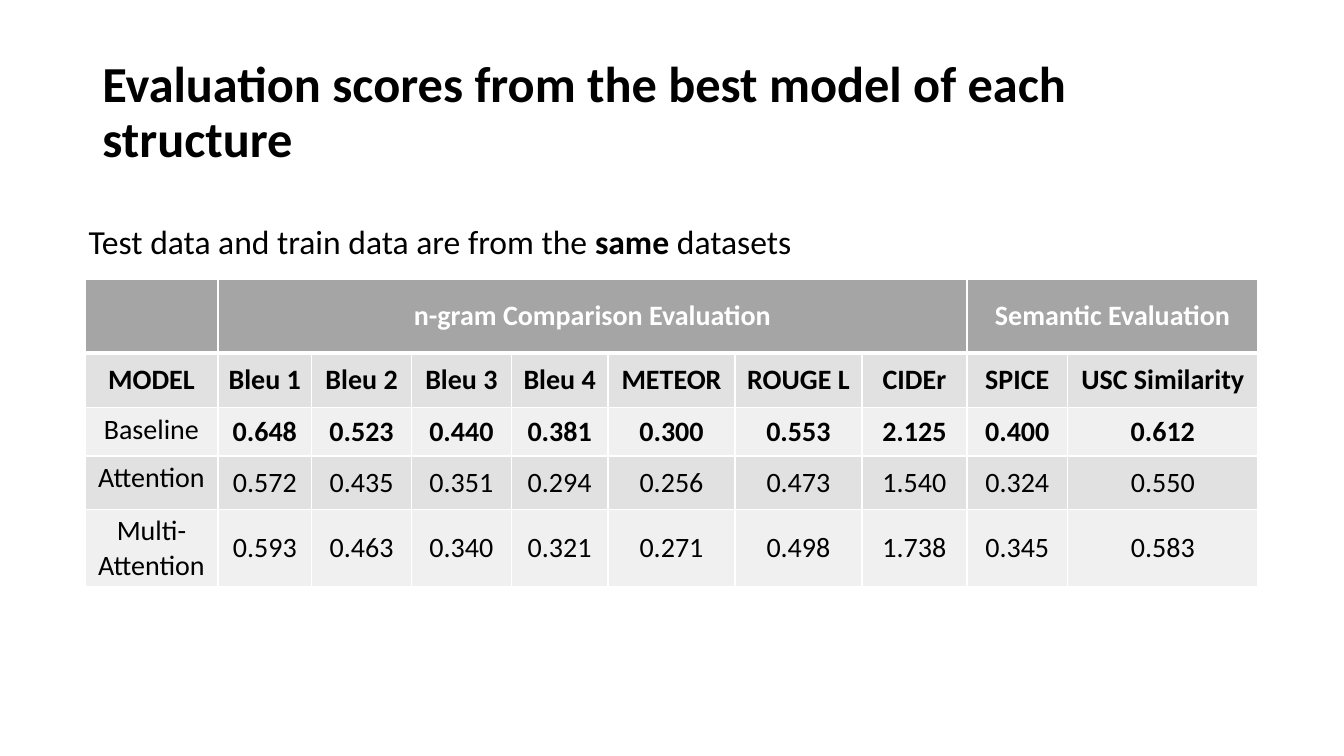
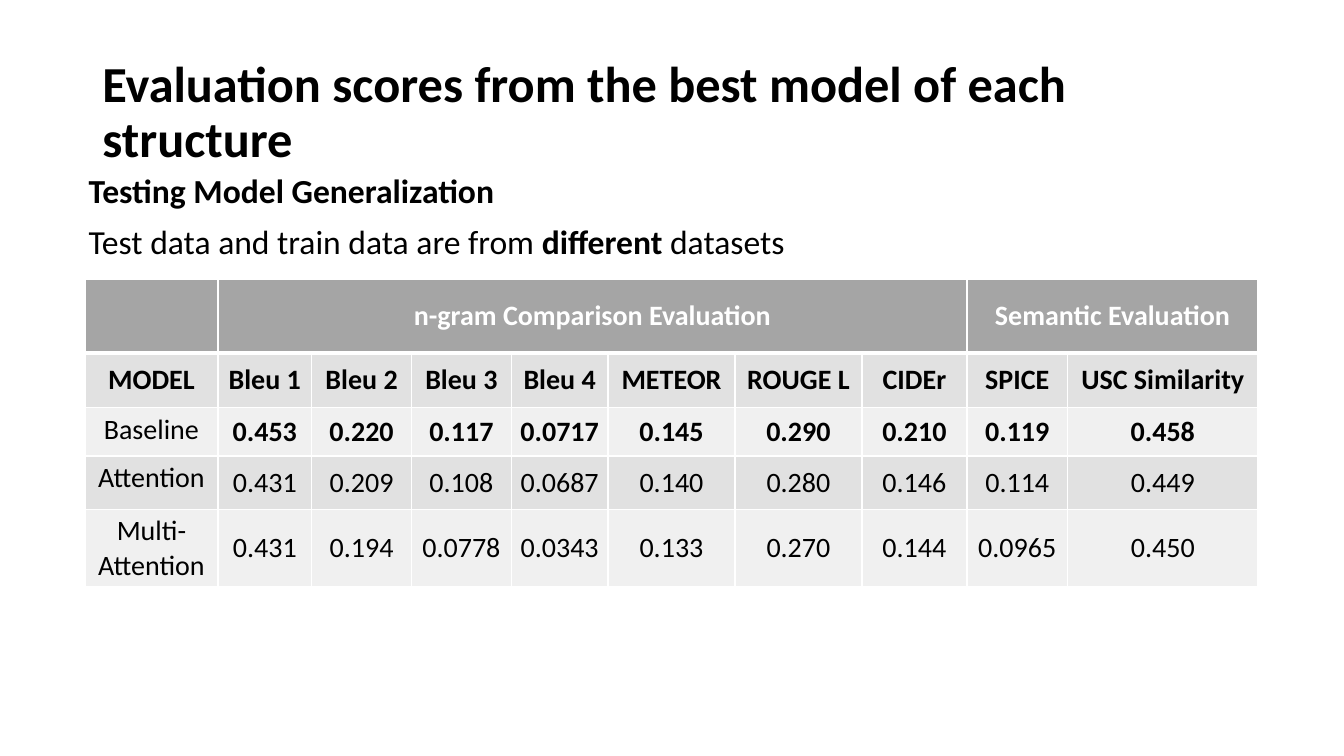
from lxml import etree
from pptx import Presentation
from pptx.dml.color import RGBColor
from pptx.enum import text
from pptx.oxml.ns import qn
from pptx.util import Pt

FONT = "Calibri"
BLACK = RGBColor(0x00, 0x00, 0x00)
WHITE = RGBColor(0xFF, 0xFF, 0xFF)
HEADER_GRAY = RGBColor(0xA5, 0xA5, 0xA5)
BAND_GRAYS = (RGBColor(0xF0, 0xF0, 0xF0), RGBColor(0xE1, 0xE1, 0xE1))

TITLE = "Evaluation scores from the best model of each structure"
GROUPS = [(1, 7, "n-gram Comparison Evaluation"), (8, 9, "Semantic Evaluation")]
METRICS = ["MODEL", "Bleu 1", "Bleu 2", "Bleu 3", "Bleu 4", "METEOR",
           "ROUGE L", "CIDEr", "SPICE", "USC Similarity"]
COLUMN_WIDTHS = [95, 67, 71.3, 71.3, 69.1, 90.7, 90.7, 75, 72, 136]
ROW_HEIGHTS = [52.5, 39, 34.5, 38, 55.5]

# Captions: (top, width, runs as (words, bold)); scores: one row per model.
SLIDES = [
    {
        "captions": [
            (154, 521, [("Test data and train data are from the ", False),
                        ("same", True), (" datasets", False)]),
        ],
        "scores": [
            ["Baseline", "0.648", "0.523", "0.440", "0.381", "0.300",
             "0.553", "2.125", "0.400", "0.612"],
            ["Attention", "0.572", "0.435", "0.351", "0.294", "0.256",
             "0.473", "1.540", "0.324", "0.550"],
            ["Multi-Attention", "0.593", "0.463", "0.340", "0.321", "0.271",
             "0.498", "1.738", "0.345", "0.583"],
        ],
    },
    {
        "captions": [
            (154, 517, [("Test data and train data are from ", False),
                        ("different", True), (" datasets", False)]),
            (118, 307.5, [("Testing Model Generalization", True)]),
        ],
        "scores": [
            ["Baseline", "0.453", "0.220", "0.117", "0.0717", "0.145",
             "0.290", "0.210", "0.119", "0.458"],
            ["Attention", "0.431", "0.209", "0.108", "0.0687", "0.140",
             "0.280", "0.146", "0.114", "0.449"],
            ["Multi-Attention", "0.431", "0.194", "0.0778", "0.0343", "0.133",
             "0.270", "0.144", "0.0965", "0.450"],
        ],
    },
]


def format_run(run, size, bold, color=BLACK):
    run.font.name = FONT
    run.font.size = Pt(size)
    run.font.bold = bold
    run.font.color.rgb = color


def add_title(slide):
    title = slide.shapes.title
    title.left, title.top, title.width, title.height = Pt(66), Pt(29), Pt(828), Pt(104.4)
    frame = title.text_frame
    frame.text = TITLE
    frame.word_wrap = True
    frame.auto_size = text.MSO_AUTO_SIZE.NONE
    frame.vertical_anchor = text.MSO_ANCHOR.MIDDLE
    paragraph = frame.paragraphs[0]
    paragraph.alignment = text.PP_ALIGN.LEFT
    paragraph.line_spacing = 0.9
    format_run(paragraph.runs[0], 36, True)


def add_caption(slide, top, width, runs):
    box = slide.shapes.add_textbox(Pt(56.2), Pt(top), Pt(width), Pt(36))
    frame = box.text_frame
    frame.word_wrap = False
    frame.auto_size = text.MSO_AUTO_SIZE.SHAPE_TO_FIT_TEXT
    for words, bold in runs:
        run = frame.paragraphs[0].add_run()
        run.text = words
        format_run(run, 24, bold)


def set_borders(cell, top, bottom):
    """Draw white cell borders; must run before the fill is set."""
    properties = cell._tc.get_or_add_tcPr()
    for side, width in (("L", 1), ("R", 1), ("T", top), ("B", bottom)):
        line = etree.SubElement(properties, qn(f"a:ln{side}"), w=str(Pt(width)))
        fill = etree.SubElement(line, qn("a:solidFill"))
        etree.SubElement(fill, qn("a:srgbClr"), val=str(WHITE))


def format_cell(cell, row, column):
    set_borders(cell, top=3 if row == 1 else 1, bottom=3 if row == 0 else 1)
    cell.fill.solid()
    cell.fill.fore_color.rgb = BAND_GRAYS[row % 2] if row else HEADER_GRAY
    is_model_name = row >= 2 and column == 0
    if not is_model_name:
        cell.vertical_anchor = text.MSO_ANCHOR.MIDDLE
        cell.margin_left = cell.margin_right = Pt(1.5)
        cell.margin_top = cell.margin_bottom = Pt(1.5)
    paragraph = cell.text_frame.paragraphs[0]
    paragraph.alignment = text.PP_ALIGN.CENTER
    for run in paragraph.runs:
        format_run(run, 20, row <= 2 and not is_model_name, BLACK if row else WHITE)


def add_score_table(slide, scores):
    header = [""] * len(METRICS)
    for first, _, label in GROUPS:
        header[first] = label
    rows = [header, METRICS, *scores]
    table = slide.shapes.add_table(
        len(rows), len(METRICS), Pt(60.7), Pt(199.7),
        Pt(sum(COLUMN_WIDTHS)), Pt(sum(ROW_HEIGHTS))).table
    for column, width in zip(table.columns, COLUMN_WIDTHS):
        column.width = Pt(width)
    for row, height in zip(table.rows, ROW_HEIGHTS):
        row.height = Pt(height)
    for first, last, _ in GROUPS:
        table.cell(0, first).merge(table.cell(0, last))
    for row, values in enumerate(rows):
        for column, value in enumerate(values):
            cell = table.cell(row, column)
            if value:
                cell.text_frame.text = value
            format_cell(cell, row, column)


def main():
    presentation = Presentation()
    presentation.slide_width, presentation.slide_height = Pt(960), Pt(540)
    title_only = presentation.slide_layouts[5]
    for content in SLIDES:
        slide = presentation.slides.add_slide(title_only)
        add_title(slide)
        for caption in content["captions"]:
            add_caption(slide, *caption)
        add_score_table(slide, content["scores"])
    presentation.save("out.pptx")


if __name__ == "__main__":
    main()
